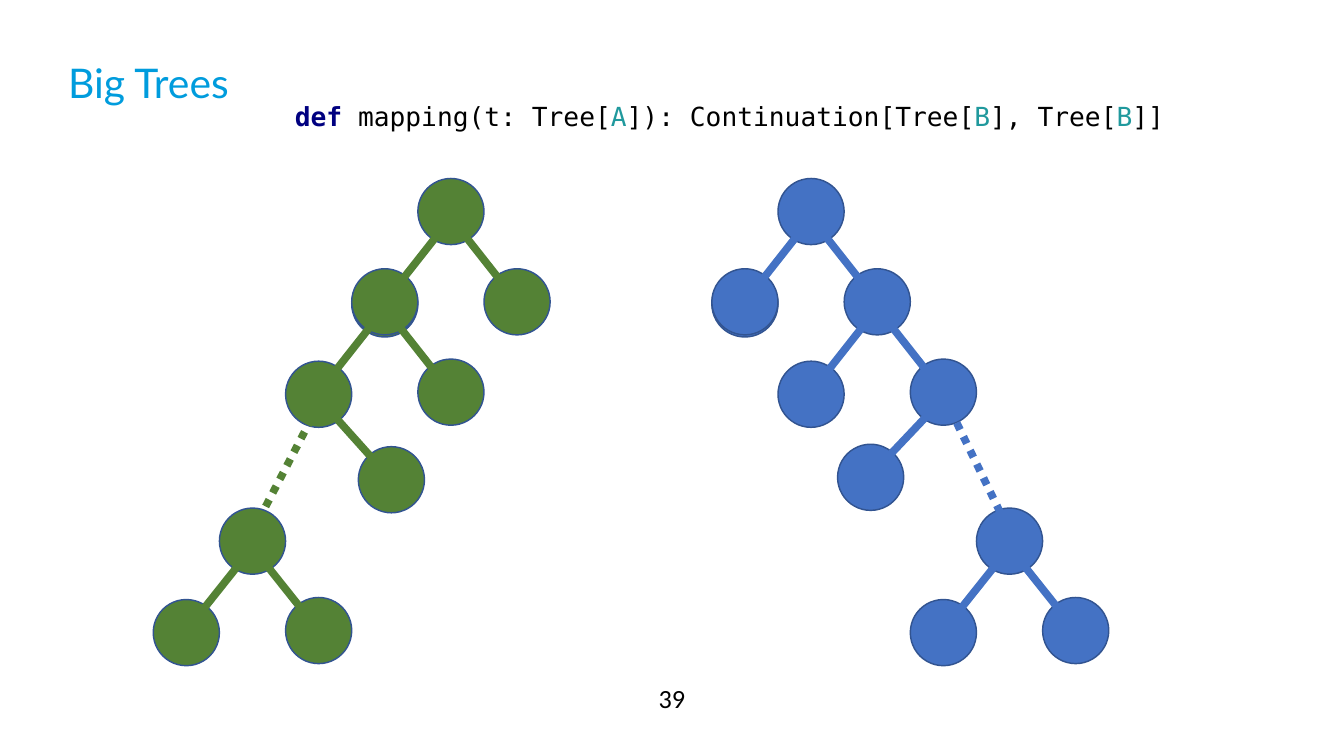
from pptx import Presentation
from pptx import util as u
from pptx.dml.color import RGBColor
from pptx.enum import dml, shapes, text
from pptx.oxml.ns import qn

W, H = 12.8, 7.2
GREEN, BLUE, OUTLINE = "548235", "4472C4", "325491"
BLACK, NAVY, TEAL, CYAN = "000000", "000080", "20999D", "009CDD"
NODE = 0.63              # circle diameter
COL, ROW = 0.63, 0.86    # tree grid
LEFT_DROP = 0.02         # left children hang a little lower
EDGE_DROP = 0.06         # edges start below the parent's centre


def rgb(value):
    return RGBColor.from_string(value)


def inches(*values):
    return [u.Inches(v) for v in values]


def write(tf, runs, size, font, align, anchor, insets):
    """Fill a text frame with one paragraph of (text, colour, bold) runs."""
    frame = dict(word_wrap=True, vertical_anchor=anchor,
                 auto_size=text.MSO_AUTO_SIZE.NONE)
    sides = ("margin_left", "margin_top", "margin_right", "margin_bottom")
    frame.update(zip(sides, inches(*insets)))
    for name, value in frame.items():
        setattr(tf, name, value)
    p = tf.paragraphs[0]
    p.alignment = align
    for words, color, bold in runs:
        r = p.add_run()
        r.text = words
        for name, value in dict(size=u.Pt(size), name=font, bold=bold).items():
            setattr(r.font, name, value)
        r.font.color.rgb = rgb(color)
    return p


def add_title(s, box):
    sp = s.shapes.title
    sp.left, sp.top, sp.width, sp.height = inches(*box)
    p = write(sp.text_frame, [("Big Trees", CYAN, False)], 28, "Lato",
              text.PP_ALIGN.LEFT, text.MSO_ANCHOR.TOP, (0, 0, 0, 0))
    p.space_before = u.Pt(7.7)


def add_signature(s, box):
    runs = [("def ", NAVY, True), ("mapping(t: Tree[", BLACK, False),
            ("A", TEAL, False), ("]): Continuation[Tree[", BLACK, False),
            ("B", TEAL, False), ("], Tree[", BLACK, False),
            ("B", TEAL, False), ("]]", BLACK, False)]
    sp = s.shapes.add_textbox(*inches(*box))
    write(sp.text_frame, runs, 18, "DejaVu Sans Mono", text.PP_ALIGN.LEFT,
          text.MSO_ANCHOR.TOP, (0.1, 0.05, 0.1, 0.05))


def add_page_number(s, box):
    sp = s.shapes.add_textbox(*inches(*box))
    write(sp.text_frame, [("39", BLACK, False)], 18, "Calibri",
          text.PP_ALIGN.CENTER, text.MSO_ANCHOR.BOTTOM, (0.13, 0.06, 0.13, 0.06))


def add_node(s, x, y, color):
    sp = s.shapes.add_shape(shapes.MSO_SHAPE.OVAL,
                            *inches(x - NODE / 2, y - NODE / 2, NODE, NODE))
    sp.shadow.inherit = False
    sp.fill.solid()
    sp.fill.fore_color.rgb = rgb(color)
    sp.line.color.rgb = rgb(OUTLINE)
    sp.line.width = u.Pt(1)


def add_edge(s, start, end, color, dotted=False):
    line = s.shapes.add_connector(shapes.MSO_CONNECTOR.STRAIGHT,
                                  *inches(*start, *end))
    line.line.color.rgb = rgb(color)
    line.line.width = u.Pt(5.25)
    if dotted:
        line.line.dash_style = dml.MSO_LINE.ROUND_DOT
    sppr = line._element.spPr
    sppr.append(sppr.makeelement(qn("a:effectLst"), {}))


def add_tree(s, box, side, color, last_row, dot_drop):
    """Tree in a box of 6 columns, growing to the left (-1) or right (1)."""
    left, top, width, height = box
    root_x = left + NODE / 2 + (4 * COL if side < 0 else COL)
    root_y = top + NODE / 2

    def place(col, row, is_left=False):
        return (root_x + side * col * COL,
                root_y + row * ROW + (LEFT_DROP if is_left else 0))

    # Parents on the spine, each with its outer and inner child
    families = [((0, 0), [(1, 1), (-1, 1)]),
                ((1, 1), [(2, 2), (0, 2)]),
                ((2, 2), [(0.9, last_row)]),
                ((3, 3.65), [(4, 4.64), (2, 4.64)])]

    # Circles
    for col, row in [(0, 0), (3, 3.65)]:
        add_node(s, *place(col, row), color)
    for parent, children in families:
        for col, row in children:
            is_left = side * (col - parent[0]) < 0
            add_node(s, *place(col, row, is_left), color)
    add_node(s, *place(side * -1, 1), color)

    # Solid edges
    for parent, children in families:
        x, y = place(*parent)
        for child in children:
            add_edge(s, (x, y + EDGE_DROP), place(*child), color)

    # Dotted edge for the levels left out
    x, y = place(2, 2)
    end_x, end_y = place(3, 3.65)
    add_edge(s, (x, y + dot_drop), (end_x, end_y - 0.09), color, dotted=True)


def main():
    prs = Presentation()
    prs.slide_width, prs.slide_height = inches(W, H)
    s = prs.slides.add_slide(prs.slide_layouts[5])
    add_page_number(s, (W / 2 - 0.34, 6.58, 0.68, 0.28))
    add_title(s, (0.65, 0.55, 11.49, 0.47))
    add_tree(s, (1.46, 1.7, 6 * COL, 4.63), -1, GREEN, 2.97, 0.12)
    add_tree(s, (6.78, 1.7, 6 * COL, 4.63), 1, BLUE, 2.92, 0.03)
    add_signature(s, (2.71, 0.91, 8.77, 0.79))
    prs.save("out.pptx")


if __name__ == "__main__":
    main()
